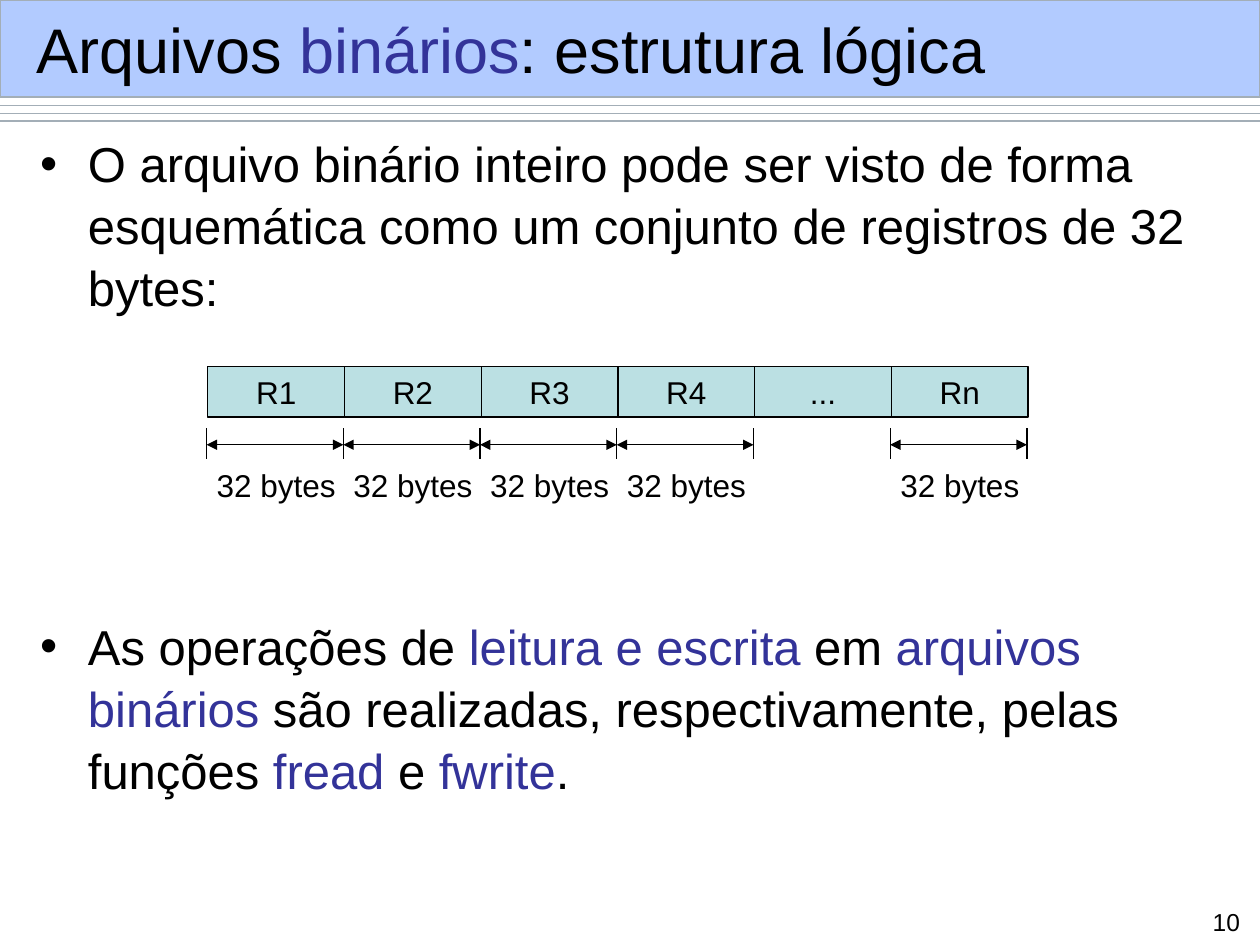
from lxml.etree import SubElement
from pptx import Presentation
from pptx.dml.color import RGBColor
from pptx.enum.shapes import MSO_CONNECTOR as Connector, MSO_SHAPE as Shape
from pptx.enum.text import MSO_ANCHOR as Anchor, MSO_AUTO_SIZE as AutoSize, PP_ALIGN as Align
from pptx.oxml.ns import qn
from pptx.util import Inches, Pt

COLORS = {"text": "000000", "accent": "333399", "band": "6699FF", "rule": "A3AEB7", "record": "BBE0E3"}
FONT = "Arial"

TITLE = [("Arquivos ", "text"), ("binários", "accent"), (": estrutura lógica", "text")]
BULLETS = [
    [("O arquivo binário inteiro pode ser visto de forma esquemática "
      "como um conjunto de registros de 32 bytes:", "text")],
    [("As operações de ", "text"), ("leitura e escrita", "accent"), (" em ", "text"),
     ("arquivos binários", "accent"), (" são realizadas, respectivamente, pelas funções ", "text"),
     ("fread", "accent"), (" e ", "text"), ("fwrite", "accent"), (".", "text")],
]
RECORDS = [("R1", "32 bytes"), ("R2", "32 bytes"), ("R3", "32 bytes"),
           ("R4", "32 bytes"), ("...", None), ("Rn", "32 bytes")]
PAGE = "10"

WIDTH, HEIGHT = 10, 7.5
BAND_HEIGHT = 0.77
RULE_TOP, RULE_GAP, RULE_COUNT = 0.84, 0.06, 3
RECORD_LEFT, RECORD_TOP, RECORD_HEIGHT = 1.65, 2.91, 0.4
RECORD_WIDTH = 6.51 / len(RECORDS)
TICK_LEFT, TICK_TOP, TICK_BOTTOM = 1.64, 3.4, 3.64
ARROW_Y = 3.53
LABEL_TOP, LABEL_WIDTH = 3.65, 1.14
BULLET_INDENT, BULLET_GAP = 0.38, 170


def color(name):
    return RGBColor.from_string(COLORS[name])


def add_runs(paragraph, runs, size):
    for text, color_name in runs:
        run = paragraph.add_run()
        run.text = text
        run.font.name = FONT
        run.font.size = Pt(size)
        run.font.color.rgb = color(color_name)


def add_text(slide, box, text, size, align, wrap=True):
    shape = slide.shapes.add_textbox(*map(Inches, box))
    frame = shape.text_frame
    frame.auto_size = AutoSize.NONE
    frame.word_wrap = wrap
    paragraph = frame.paragraphs[0]
    paragraph.alignment = align
    add_runs(paragraph, [(text, "text")], size)


def add_box(slide, box, fill, line):
    shape = slide.shapes.add_shape(Shape.RECTANGLE, *map(Inches, box))
    shape.shadow.inherit = False
    shape.fill.solid()
    shape.fill.fore_color.rgb = color(fill)
    shape.line.color.rgb = color(line)
    shape.line.width = Pt(0.75)
    return shape


def add_line(slide, start, end, line, arrows=False):
    connector = slide.shapes.add_connector(Connector.STRAIGHT, *map(Inches, start + end))
    connector.line.color.rgb = color(line)
    connector.line.width = Pt(0.75)
    if arrows:
        for tag in ("a:headEnd", "a:tailEnd"):
            SubElement(connector.line._get_or_add_ln(), qn(tag), type="triangle")
    SubElement(connector._element.spPr, qn("a:effectLst"))


def add_header(slide):
    for index in range(RULE_COUNT):
        y = RULE_TOP + index * RULE_GAP
        add_line(slide, (0, y), (WIDTH, y), "rule")
    band = add_box(slide, (0, 0, WIDTH, BAND_HEIGHT), "band", "rule")
    band_color = band._element.spPr.find(qn("a:solidFill")).find(qn("a:srgbClr"))
    SubElement(band_color, qn("a:alpha"), val="50000")
    title = slide.shapes.title
    title.left, title.top, title.width, title.height = map(Inches, (0.19, 0.09, 9.64, 0.59))
    frame = title.text_frame
    frame.auto_size = AutoSize.NONE
    frame.vertical_anchor = Anchor.MIDDLE
    frame.paragraphs[0].alignment = Align.LEFT
    add_runs(frame.paragraphs[0], TITLE, 36)
    slide.shapes._spTree.append(title._element)


def add_bullets(slide):
    frame = slide.shapes.add_textbox(*map(Inches, (0.22, 0.99, 9.54, 6.24))).text_frame
    frame.word_wrap = True
    for index, runs in enumerate(BULLETS):
        paragraph = frame.add_paragraph() if index else frame.paragraphs[0]
        paragraph.line_spacing = 1.05
        if index:
            paragraph.space_before = Pt(BULLET_GAP)
        properties = paragraph._p.get_or_add_pPr()
        properties.set("marL", str(Inches(BULLET_INDENT)))
        properties.set("indent", str(-Inches(BULLET_INDENT)))
        SubElement(properties, qn("a:buFont"), typeface=FONT)
        SubElement(properties, qn("a:buChar"), char="•")
        add_runs(paragraph, runs, 28)


def add_records(slide):
    for index, (name, size_label) in enumerate(RECORDS):
        left = RECORD_LEFT + index * RECORD_WIDTH
        record = add_box(slide, (left, RECORD_TOP, RECORD_WIDTH, RECORD_HEIGHT), "record", "text")
        record.text_frame.vertical_anchor = Anchor.MIDDLE
        paragraph = record.text_frame.paragraphs[0]
        paragraph.alignment = Align.CENTER
        add_runs(paragraph, [(name, "text")], 18)
        if size_label:
            tick = TICK_LEFT + index * RECORD_WIDTH
            add_line(slide, (tick, ARROW_Y), (tick + RECORD_WIDTH, ARROW_Y), "text", arrows=True)
            label_left = left + (RECORD_WIDTH - LABEL_WIDTH) / 2
            add_text(slide, (label_left, LABEL_TOP, LABEL_WIDTH, RECORD_HEIGHT),
                     size_label, 18, Align.CENTER, wrap=False)
    for index in range(len(RECORDS) + 1):
        tick = TICK_LEFT + index * RECORD_WIDTH
        add_line(slide, (tick, TICK_TOP), (tick, TICK_BOTTOM), "text")


def main():
    presentation = Presentation()
    presentation.slide_width = Inches(WIDTH)
    presentation.slide_height = Inches(HEIGHT)
    slide = presentation.slides.add_slide(presentation.slide_layouts[5])
    add_header(slide)
    add_bullets(slide)
    add_records(slide)
    add_text(slide, (9.41, 7.15, 0.53, 0.26), PAGE, 14, Align.RIGHT)
    presentation.save("out.pptx")


if __name__ == "__main__":
    main()
